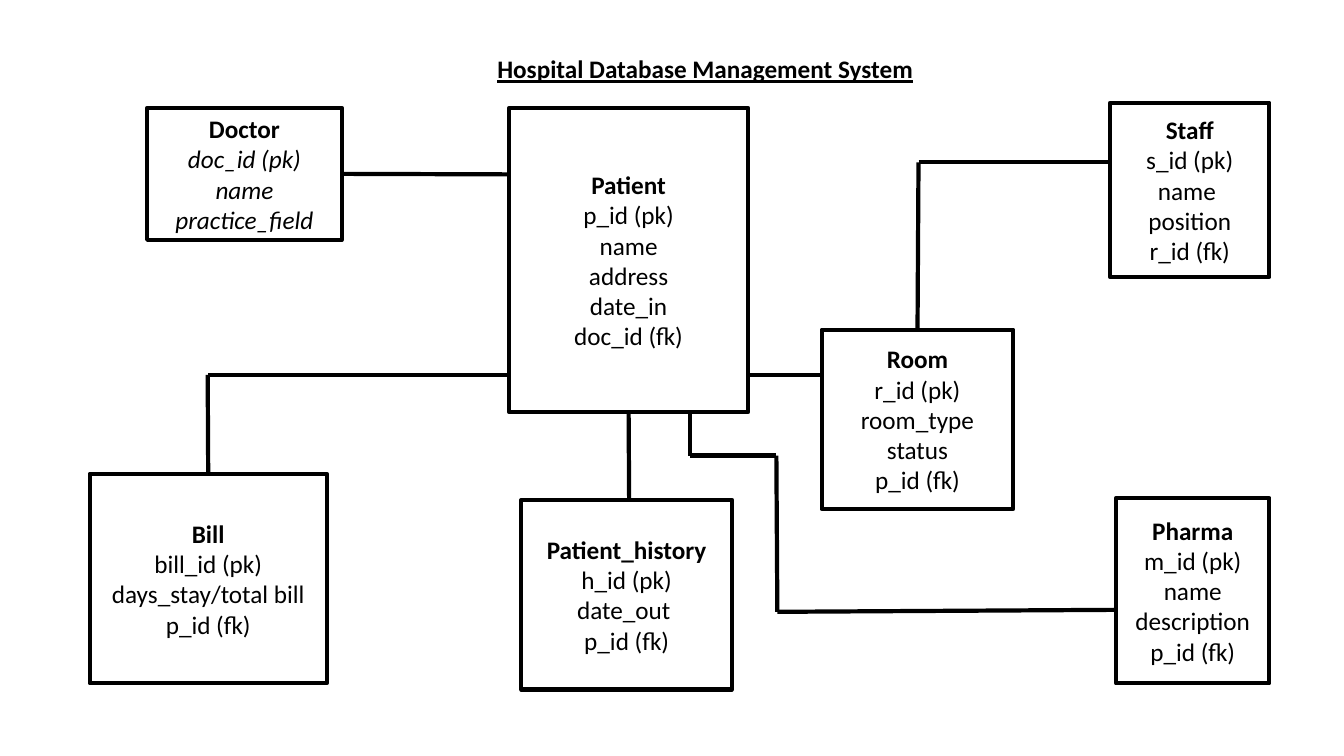
from lxml import etree
from pptx import Presentation
from pptx.dml.color import RGBColor
from pptx.enum.shapes import MSO_CONNECTOR, MSO_SHAPE
from pptx.enum.text import MSO_ANCHOR, MSO_AUTO_SIZE, PP_ALIGN
from pptx.oxml.ns import qn
from pptx.util import Inches, Pt

RECTANGLE = MSO_SHAPE.RECTANGLE
STRAIGHT = MSO_CONNECTOR.STRAIGHT
MIDDLE = MSO_ANCHOR.MIDDLE
NO_AUTOFIT = MSO_AUTO_SIZE.NONE
CENTER = PP_ALIGN.CENTER

BLACK = "000000"
TEXT_FORMAT = {"name": "Calibri", "size": Pt(18), "bold": False}
HEADING_FORMAT = {**TEXT_FORMAT, "bold": True}
TITLE_FORMAT = {**HEADING_FORMAT, "underline": True}
FRAME_FORMAT = {
    "word_wrap": True,
    "auto_size": NO_AUTOFIT,
    "vertical_anchor": MIDDLE,
    "margin_left": Inches(0.1),
    "margin_right": Inches(0.1),
    "margin_top": Inches(0.05),
    "margin_bottom": Inches(0.05),
}
TOP, LEFT, BOTTOM, RIGHT = range(4)

# Entity: left, top, width, height and fields
ENTITIES = {
    "Doctor": ((1.46, 1.07, 1.93, 1.31), ["doc_id (pk)", "name", "practice_field"]),
    "Patient": ((5.05, 1.07, 2.37, 3.02),
                ["p_id (pk)", "name", "address", "date_in", "doc_id (fk)"]),
    "Bill": ((0.89, 4.7, 2.35, 2.08), ["bill_id (pk)", "days_stay/total bill", "p_id (fk)"]),
    "Patient_history": ((5.17, 4.96, 2.09, 1.88), ["h_id (pk)", "date_out ", "p_id (fk)"]),
    "Staff": ((11.01, 1.02, 1.58, 1.73), ["s_id (pk)", "name ", "position", "r_id (fk)"]),
    "Pharma": ((11.07, 4.94, 1.52, 1.84), ["m_id (pk)", "name", "description", "p_id (fk)"]),
    "Room": ((8.15, 3.27, 1.9, 1.78), ["r_id (pk)", "room_type", "status", "p_id (fk)"]),
}
ITALIC_ENTITIES = {"Doctor"}

# Relation: corner points, then the joined entity side at the start and end
RELATIONS = [
    ([(3.39, 1.73), (5.05, 1.73)], ("Doctor", RIGHT), None),
    ([(5.05, 3.72), (2.06, 3.72), (2.06, 4.7)], None, ("Bill", TOP)),
    ([(6.24, 4.09), (6.24, 4.96)], ("Patient", BOTTOM), None),
    ([(9.1, 3.27), (9.11, 1.61), (11.01, 1.61)], ("Room", TOP), None),
    ([(7.42, 3.72), (8.15, 3.72)], None, None),
    ([(6.84, 4.08), (6.84, 4.52), (7.7, 4.52), (7.71, 6.07), (11.07, 6.05)], None, None),
]


def color(value):
    return RGBColor.from_string(value)


def apply_format(target, values):
    for name, value in values.items():
        setattr(target, name, value)


def style_line(line):
    line.color.rgb = color(BLACK)
    line.width = Pt(3)


def write_line(paragraph, text, font_format):
    paragraph.alignment = CENTER
    run = paragraph.add_run()
    run.text = text
    apply_format(run.font, font_format)
    run.font.color.rgb = color(BLACK)


def add_title(slide, text):
    title = slide.shapes.title
    title.left, title.top = Inches(4.64), Inches(0.48)
    title.width, title.height = Inches(4.71), Inches(0.4)
    apply_format(title.text_frame, FRAME_FORMAT)
    write_line(title.text_frame.paragraphs[0], text, TITLE_FORMAT)


def add_entity(slide, name, box, fields):
    shape = slide.shapes.add_shape(RECTANGLE, *map(Inches, box))
    shape.shadow.inherit = False
    shape.fill.background()
    style_line(shape.line)
    frame = shape.text_frame
    apply_format(frame, FRAME_FORMAT)
    write_line(frame.paragraphs[0], name, HEADING_FORMAT)
    field_format = {**TEXT_FORMAT, "italic": name in ITALIC_ENTITIES}
    for field in fields:
        write_line(frame.add_paragraph(), field, field_format)
    return shape


def add_relation(slide, points, start, end, shapes):
    connectors = []
    for first, second in zip(points, points[1:]):
        connector = slide.shapes.add_connector(STRAIGHT, *map(Inches, first + second))
        style_line(connector.line)
        properties = connector.element.find(qn("p:spPr"))
        etree.SubElement(properties, qn("a:effectLst"))
        connectors.append(connector)
    if start:
        name, side = start
        connectors[0].begin_connect(shapes[name], side)
    if end:
        name, side = end
        connectors[-1].end_connect(shapes[name], side)


def main():
    presentation = Presentation()
    presentation.slide_width, presentation.slide_height = Inches(13.33), Inches(7.5)
    slide = presentation.slides.add_slide(presentation.slide_layouts[5])
    add_title(slide, "Hospital Database Management System")

    # Entity boxes
    shapes = {name: add_entity(slide, name, box, fields)
              for name, (box, fields) in ENTITIES.items()}

    # Relation lines
    for points, start, end in RELATIONS:
        add_relation(slide, points, start, end, shapes)

    presentation.save("out.pptx")


if __name__ == "__main__":
    main()
